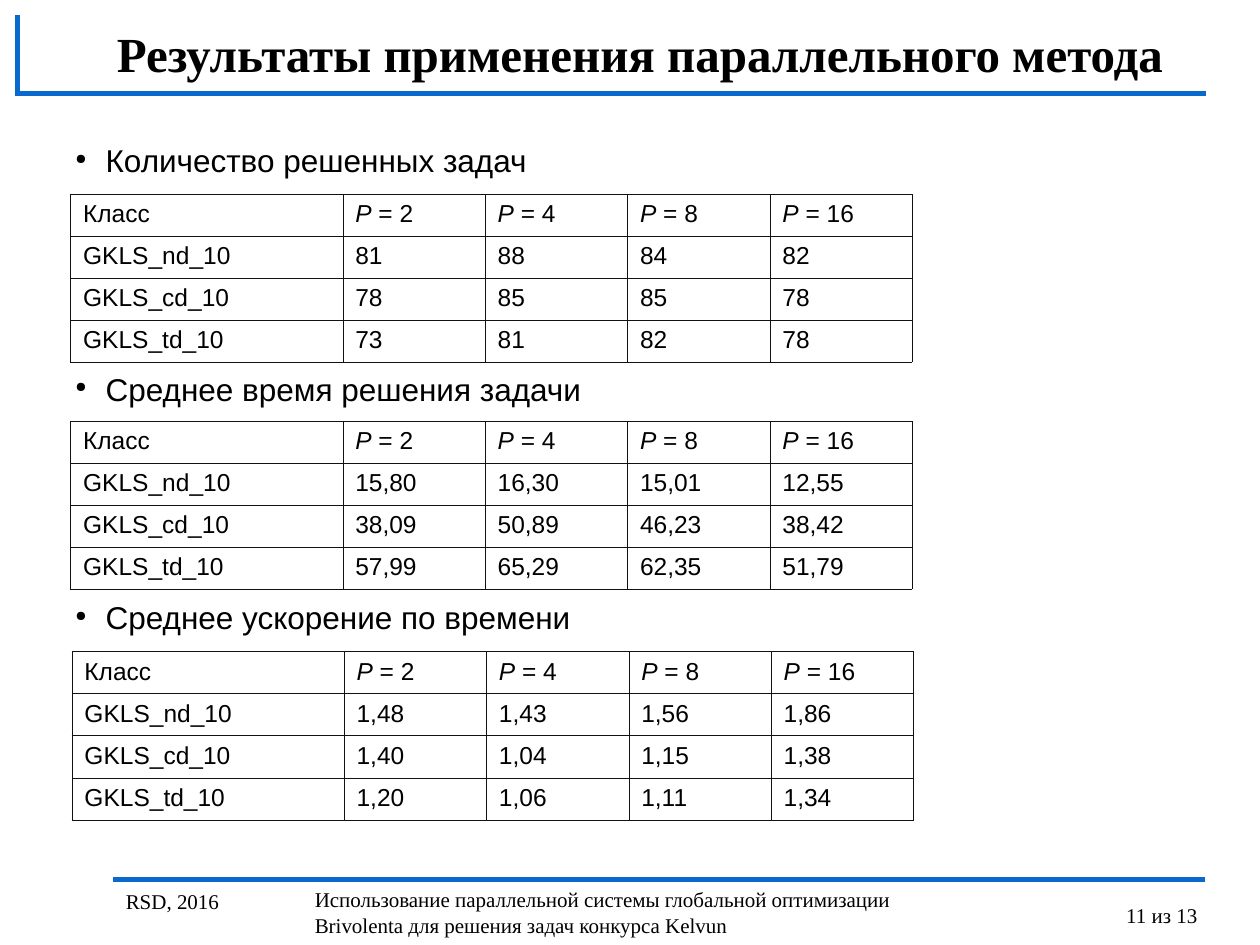
from lxml import etree
from pptx import Presentation
from pptx.dml.color import RGBColor
from pptx.enum.shapes import MSO_CONNECTOR
from pptx.enum.text import MSO_ANCHOR
from pptx.oxml import parse_xml
from pptx.oxml.ns import nsdecls, qn
from pptx.util import Inches, Pt

COLORS = {"text": "000000", "rule": "0969CD", "border": "111111", "cell": "FFFFFF"}
SERIF, SANS = "Times New Roman", "Arial"
TITLE = {"name": SERIF, "size": Pt(28), "bold": True}
FOOTER = {"name": SERIF, "size": Pt(12)}
HEADING = {"name": SANS, "size": Pt(18)}
CELL = {"name": SANS, "size": Pt(14)}

PROCESSORS = (2, 4, 8, 16)
CLASSES = ("GKLS_nd_10", "GKLS_cd_10", "GKLS_td_10")
SECTIONS = [
    ("Количество решенных задач", 0.56, 1.54,
     ["81 88 84 82", "78 85 85 78", "73 81 82 78"]),
    ("Среднее время решения задачи", 0.56, 3.34,
     ["15,80 16,30 15,01 12,55", "38,09 50,89 46,23 38,42", "57,99 65,29 62,35 51,79"]),
    ("Среднее ускорение по времени", 0.57, 5.17,
     ["1,48 1,43 1,56 1,86", "1,40 1,04 1,15 1,38", "1,20 1,06 1,11 1,34"]),
]
COLUMN_WIDTHS = [2.16] + [1.13] * len(PROCESSORS)
ROW_HEIGHT = 0.32


def add_span(para, text, style, italic=False):
    span = para.add_run()
    span.text = text
    for name, value in style.items():
        setattr(span.font, name, value)
    if italic:
        span.font.italic = True
    span.font.color.rgb = RGBColor.from_string(COLORS["text"])


def add_box(page, left, top, width, height, wrap=True):
    box = page.shapes.add_textbox(Inches(left), Inches(top), Inches(width), Inches(height))
    box.text_frame.word_wrap = wrap
    return box.text_frame


def add_label(page, text, place, style, wrap=True):
    frame = add_box(page, *place, wrap=wrap)
    add_span(frame.paragraphs[0], text, style)
    return frame


def add_rule(page, *ends):
    rule = page.shapes.add_connector(MSO_CONNECTOR.STRAIGHT, *map(Inches, ends))
    rule.line.width = Pt(3)
    rule.line.color.rgb = RGBColor.from_string(COLORS["rule"])
    etree.SubElement(rule._element.spPr, qn("a:effectLst"))


def add_bullet(para):
    props = para._p.get_or_add_pPr()
    props.set("marL", str(Inches(0.24)))
    props.set("indent", str(-Inches(0.24)))
    for xml in (
        f'<a:buClr {nsdecls("a")}><a:srgbClr val="{COLORS["text"]}"/></a:buClr>',
        f'<a:buSzPct {nsdecls("a")} val="45000"/>',
        f'<a:buChar {nsdecls("a")} char="●"/>',
    ):
        props.append(parse_xml(xml))


def add_headings(page, headings):
    frame = add_box(page, 0.5, 1.07, 9, 5.43)
    for index, heading in enumerate(headings):
        para = frame.add_paragraph() if index else frame.paragraphs[0]
        if index:
            para.space_before = Pt(109)
        add_bullet(para)
        add_span(para, heading, HEADING)


def format_cell(cell):
    props = cell._tc.get_or_add_tcPr()
    for side in ("lnL", "lnR", "lnT", "lnB"):
        props.append(parse_xml(
            f'<a:{side} {nsdecls("a")} w="720"><a:solidFill>'
            f'<a:srgbClr val="{COLORS["border"]}"/></a:solidFill></a:{side}>'))
    cell.fill.solid()
    cell.fill.fore_color.rgb = RGBColor.from_string(COLORS["cell"])


def add_results(page, left, top, rows):
    row_count = len(rows) + 1
    table = page.shapes.add_table(
        row_count, len(COLUMN_WIDTHS), Inches(left), Inches(top),
        Inches(sum(COLUMN_WIDTHS)), Inches(ROW_HEIGHT * row_count)).table
    table.first_row = table.horz_banding = False
    for column, width in zip(table.columns, COLUMN_WIDTHS):
        column.width = Inches(width)
    for row in table.rows:
        row.height = Inches(ROW_HEIGHT)
        for cell in row.cells:
            format_cell(cell)

    add_span(table.cell(0, 0).text_frame.paragraphs[0], "Класс", CELL)
    for column, count in enumerate(PROCESSORS, 1):
        para = table.cell(0, column).text_frame.paragraphs[0]
        add_span(para, "P", CELL, italic=True)
        add_span(para, f" = {count}", CELL)
    for row, (name, values) in enumerate(zip(CLASSES, rows), 1):
        for column, text in enumerate([name, *values.split()]):
            add_span(table.cell(row, column).text_frame.paragraphs[0], text, CELL)


def main():
    deck = Presentation()
    deck.slide_width, deck.slide_height = Inches(10), Inches(7.5)
    page = deck.slides.add_slide(deck.slide_layouts[6])

    number = add_label(page, "11 из 13", (8.84, 7.01, 1.16, 0.49), FOOTER)
    number.paragraphs[0].line_spacing = 1.5
    add_rule(page, 0.9, 6.98, 9.56, 6.98)
    add_rule(page, 0.12, 0.74, 9.57, 0.74)
    add_rule(page, 0.14, 0.12, 0.14, 0.75)
    add_label(page, "Использование параллельной системы глобальной оптимизации "
              "Brivolenta для решения задач конкурса Kelvun", (2.4, 6.99, 4.87, 0.5), FOOTER)
    add_label(page, "RSD, 2016", (0.9, 7, 4.87, 0.5), FOOTER)

    add_headings(page, [section[0] for section in SECTIONS])
    title = add_label(page, "Результаты применения параллельного метода",
                      (0.83, 0.17, 8.5, 0.5), TITLE, wrap=False)
    title.vertical_anchor = MSO_ANCHOR.MIDDLE
    for _, left, top, rows in SECTIONS:
        add_results(page, left, top, rows)

    deck.save("out.pptx")


if __name__ == "__main__":
    main()
